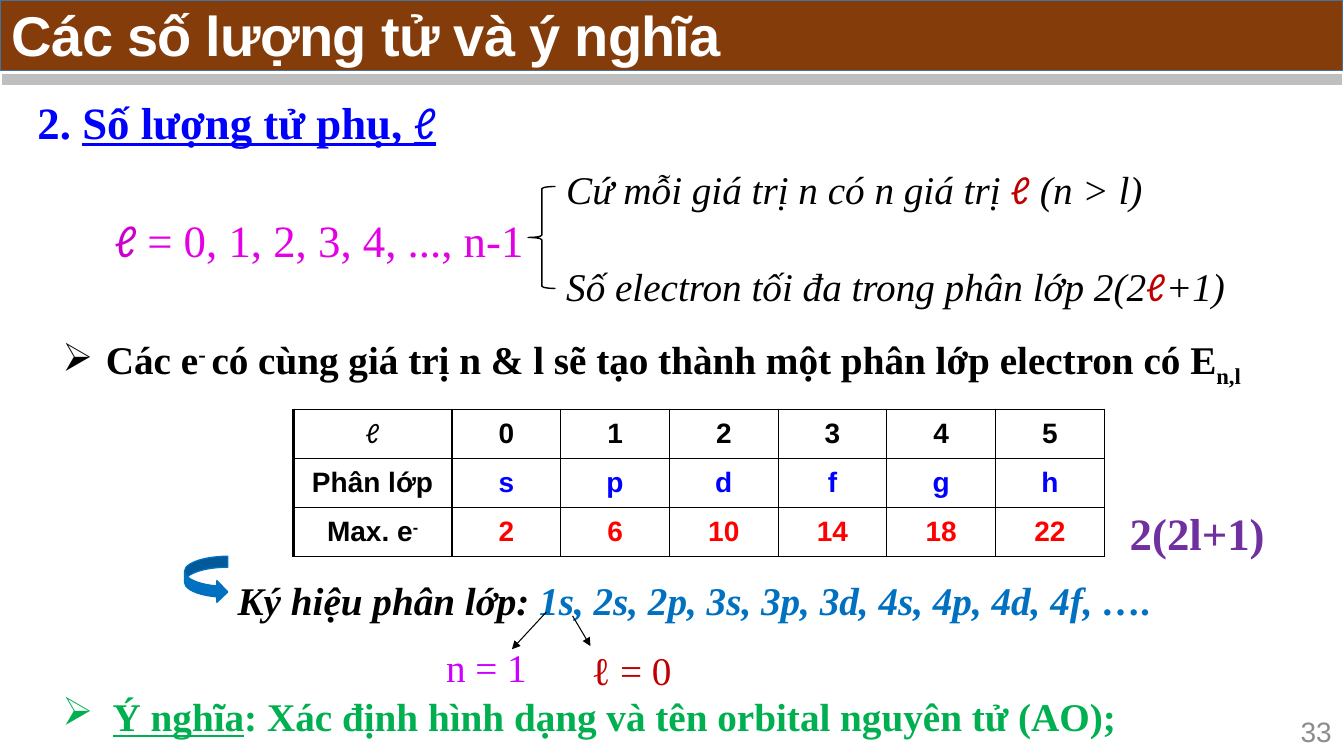
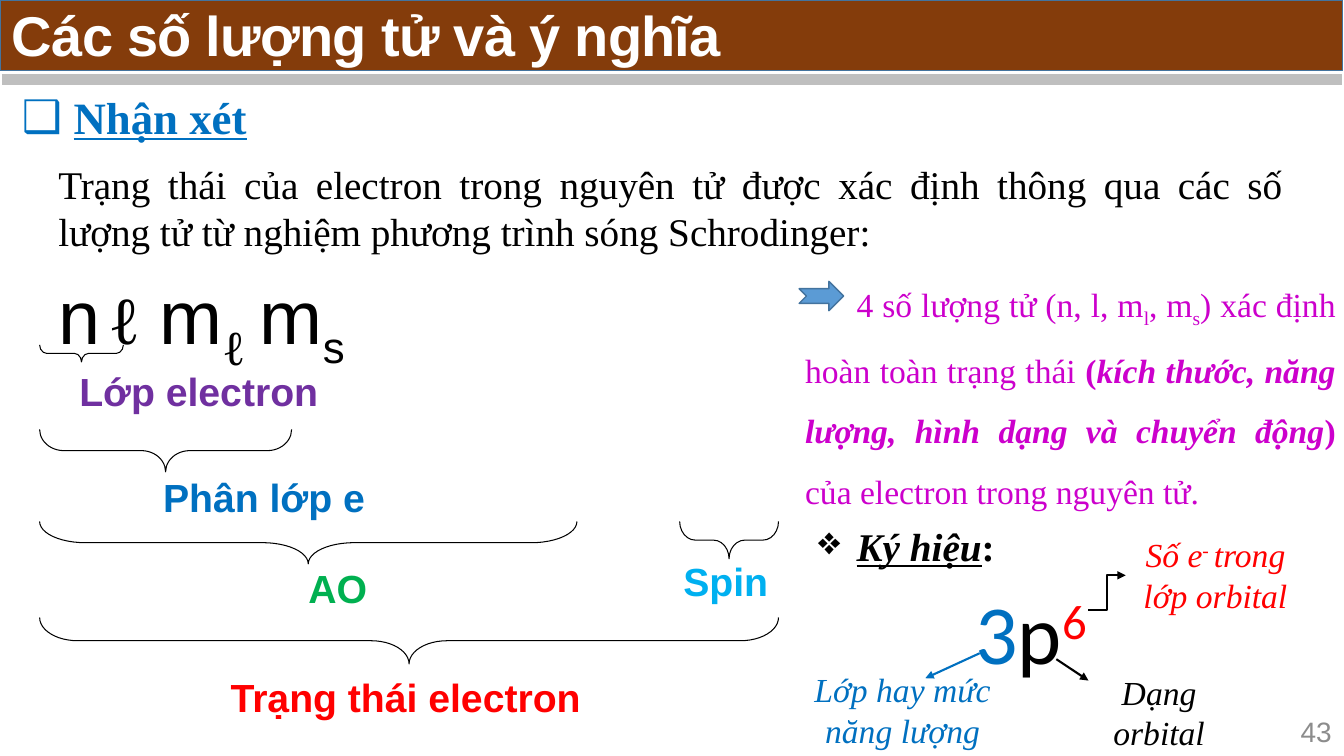
from dataclasses import dataclass, replace
from typing import Optional

import lxml.etree
import pptx
import pptx.dml.color
import pptx.enum.shapes
import pptx.enum.text
import pptx.oxml.ns
import pptx.util

Cm = pptx.util.Cm
Pt = pptx.util.Pt
Align = pptx.enum.text.PP_ALIGN
Anchor = pptx.enum.text.MSO_ANCHOR
Preset = pptx.enum.shapes.MSO_SHAPE
Connector = pptx.enum.shapes.MSO_CONNECTOR
qn = pptx.oxml.ns.qn

# Shared look
SERIF, SANS, CALIBRI = "Times New Roman", "Arial", "Calibri"
BLACK, WHITE, GREY, NUMBER_GREY = "000000", "FFFFFF", "BFBFBF", "8C8C8C"
BAND, OUTLINE = "843C0B", "43739E"
BLUE, SKY, PURPLE, GREEN = "0000FF", "0070C0", "7030A0", "00B050"
RED, DARK_RED, MAGENTA = "FF0000", "C00000", "CC00CC"
SUPER, SUB = 30000, -25000
TITLE = "Các số lượng tử và ý nghĩa"


@dataclass(frozen=True)
class Run:
    text: str
    size: float = 28
    color: str = BLACK
    font: str = SERIF
    bold: bool = False
    italic: bool = False
    underline: bool = False
    baseline: int = 0

    def but(self, text: str, **changes) -> "Run":
        return replace(self, text=text, **changes)


@dataclass(frozen=True)
class Layout:
    align: Align = Align.LEFT
    bullet: Optional[str] = None
    margin: float = 0
    indent: float = 0
    spacing: float = 1
    after: float = 0
    tabs: tuple[float, ...] = ()


@dataclass(frozen=True)
class Arrow:
    start: tuple[float, float]
    end: tuple[float, float]
    width: float = 1.5
    color: str = BLACK
    kind: Connector = Connector.STRAIGHT


@dataclass(frozen=True)
class BraceGroup:
    left: float
    top: float
    width: float
    depth: float
    curve: float
    label: str
    label_left: float
    label_top: float
    color: str


CENTERED = Layout(align=Align.CENTER)


def rgb(color: str) -> pptx.dml.color.RGBColor:
    return pptx.dml.color.RGBColor.from_string(color)


def place(shape, left: float, top: float, width: float, height: float) -> None:
    shape.left, shape.top = Cm(left), Cm(top)
    shape.width, shape.height = Cm(width), Cm(height)


def write(text_frame, runs: list[Run], layout: Layout = Layout()) -> None:
    """Fill the first paragraph with formatted runs."""
    paragraph = text_frame.paragraphs[0]
    properties = paragraph._p.get_or_add_pPr()
    properties.set("marL", str(int(Cm(layout.margin))))
    properties.set("indent", str(int(Cm(layout.indent))))
    if layout.bullet:
        lxml.etree.SubElement(properties, qn("a:buChar")).set("char", layout.bullet)
    else:
        lxml.etree.SubElement(properties, qn("a:buNone"))
    if layout.tabs:
        tab_list = lxml.etree.SubElement(properties, qn("a:tabLst"))
        for position in layout.tabs:
            tab = lxml.etree.SubElement(tab_list, qn("a:tab"))
            tab.set("pos", str(int(Cm(position))))
            tab.set("algn", "l")
    paragraph.alignment = layout.align
    paragraph.line_spacing = layout.spacing
    paragraph.space_before = Pt(0)
    paragraph.space_after = Pt(layout.after)
    for part in runs:
        run = paragraph.add_run()
        run.text = part.text
        font = run.font
        font.size, font.name = Pt(part.size), part.font
        font.bold, font.italic, font.underline = part.bold, part.italic, part.underline
        font.color.rgb = rgb(part.color)
        if part.baseline:
            run._r.get_or_add_rPr().set("baseline", str(part.baseline))


def add_text(slide, left: float, top: float, width: float, height: float,
             runs: list[Run], layout: Layout = Layout()):
    box = slide.shapes.add_textbox(Cm(left), Cm(top), Cm(width), Cm(height))
    box.text_frame.word_wrap = True
    write(box.text_frame, runs, layout)
    return box


def add_preset(slide, preset: Preset, left: float, top: float, width: float, height: float,
               line: str, fill: Optional[str] = None, weight: float = 1):
    shape = slide.shapes.add_shape(preset, Cm(left), Cm(top), Cm(width), Cm(height))
    shape.shadow.inherit = False
    if fill:
        shape.fill.solid()
        shape.fill.fore_color.rgb = rgb(fill)
    else:
        shape.fill.background()
    shape.line.color.rgb = rgb(line)
    shape.line.width = Pt(weight)
    return shape


def add_line(slide, arrow: Arrow, head: bool = True) -> None:
    points = [Cm(value) for value in arrow.start + arrow.end]
    connector = slide.shapes.add_connector(arrow.kind, *points)
    connector.line.color.rgb = rgb(arrow.color)
    connector.line.width = Pt(arrow.width)
    if head:
        line = connector.line._get_or_add_ln()
        lxml.etree.SubElement(line, qn("a:tailEnd")).set("type", "triangle")
    lxml.etree.SubElement(connector._element.spPr, qn("a:effectLst"))


def add_brace_group(slide, group: BraceGroup) -> None:
    """Draw a brace pointing down, with its label underneath."""
    left = group.left + (group.width - group.depth) / 2
    top = group.top + (group.depth - group.width) / 2
    brace = add_preset(slide, Preset.LEFT_BRACE, left, top, group.depth, group.width,
                       BLACK, weight=0.75)
    brace.rotation = 270
    brace.adjustments[0] = group.curve
    label = Run(group.label, color=group.color, font=SANS, bold=True)
    add_text(slide, group.label_left, group.label_top, 10, 1.45, [label])


def add_slide(presentation, number: int, heading: list[Run], heading_box: tuple[float, ...],
              heading_layout: Layout):
    """Start a slide with title band, rule, heading and number."""
    slide = presentation.slides.add_slide(presentation.slide_layouts[1])
    title, body = slide.shapes.title, slide.placeholders[1]
    place(title, 0, 0, 33.83, 1.78)
    title.fill.solid()
    title.fill.fore_color.rgb = rgb(BAND)
    title.line.color.rgb = rgb(OUTLINE)
    title.line.width = Pt(1)
    title.text_frame.margin_left, title.text_frame.margin_top = Cm(0.3), Cm(0.28)
    place(body, *heading_box)
    for placeholder in (title, body):
        placeholder.text_frame.auto_size = pptx.enum.text.MSO_AUTO_SIZE.NONE
        placeholder.text_frame.vertical_anchor = Anchor.TOP
    write(title.text_frame, [Run(TITLE, 40, WHITE, SANS, bold=True)], Layout(spacing=0.85))
    title.text_frame.paragraphs[0].runs[0]._r.get_or_add_rPr().set("spc", "-50")
    write(body.text_frame, heading, heading_layout)
    add_line(slide, Arrow((0.05, 2.01), (33.83, 2.01), 8, GREY), head=False)
    number_box = add_text(slide, 32.41, 17.93, 1.4, 1.02,
                          [Run(str(number), 20, NUMBER_GREY, SANS)], Layout(align=Align.RIGHT))
    number_box.text_frame.vertical_anchor = Anchor.MIDDLE
    return slide


def set_borders(cell, left_width: float) -> None:
    properties = cell._tc.get_or_add_tcPr()
    for index, side in enumerate(("lnL", "lnR", "lnT", "lnB")):
        line = lxml.etree.Element(qn(f"a:{side}"))
        line.set("w", str(int(Pt(left_width if side == "lnL" else 1))))
        fill = lxml.etree.SubElement(line, qn("a:solidFill"))
        lxml.etree.SubElement(fill, qn("a:srgbClr")).set("val", BLACK)
        properties.insert(index, line)


def add_subshell_table(slide) -> None:
    label = Run("", 20, font=SANS, bold=True)
    rows = [
        ([Run("ℓ", 20, font=CALIBRI)], "0 1 2 3 4 5", BLACK),
        ([label.but("Phân lớp")], "s p d f g h", BLUE),
        ([label.but("Max. e"), label.but("-", baseline=SUPER)], "2 6 10 14 18 22", RED),
    ]
    table = slide.shapes.add_table(3, 7, Cm(7.39), Cm(10.31), Cm(20.44), Cm(3.72)).table
    table.first_row = table.horz_banding = False
    for index, column in enumerate(table.columns):
        column.width = Cm(2.74 if index else 4)
    for row_index, (header, values, color) in enumerate(rows):
        table.rows[row_index].height = Cm(1.24)
        contents = [header] + [[label.but(value, color=color)] for value in values.split()]
        for column_index, runs in enumerate(contents):
            cell = table.cell(row_index, column_index)
            cell.fill.background()
            cell.vertical_anchor = Anchor.MIDDLE
            write(cell.text_frame, runs, CENTERED)
            set_borders(cell, 1 if column_index else 2.25)


def build_subshell_slide(presentation) -> None:
    heading = Run("2. ", 32, BLUE, bold=True)
    slide = add_slide(
        presentation, 33,
        [heading, heading.but("Số lượng tử phụ, ", underline=True),
         heading.but("ℓ", font=CALIBRI, bold=False, underline=True)],
        (0.69, 2.26, 18.85, 1.63), Layout(after=6))

    # Values of the quantum number
    add_text(slide, 2.64, 5.23, 11.4, 1.63,
             [Run("ℓ ", 32, MAGENTA, CALIBRI), Run("= 0, 1, 2, 3, 4, ..., n-1", 32, "E400E4")])
    note, ell = Run("", italic=True), Run("ℓ", color=DARK_RED, font=CALIBRI)
    for top, before, after in ((4.04, "Cứ mỗi giá trị n có n giá trị ", " (n > l)"),
                               (6.48, "Số electron tối đa trong phân lớp 2(2", "+1)")):
        add_text(slide, 14.02, top, 18, 1.45, [note.but(before), ell, note.but(after)])
    add_preset(slide, Preset.LEFT_BRACE, 13.31, 4.7, 0.69, 2.57, BLACK)

    # Subshells and their capacity
    strong = Run("", bold=True)
    add_text(slide, 1.32, 8.33, 31.5, 1.45,
             [strong.but("Các e"), strong.but("- ", baseline=SUPER),
              strong.but("có cùng giá trị n & l sẽ tạo thành một phân lớp electron có E"),
              strong.but("n,l", baseline=SUB)],
             Layout(bullet="➢", margin=1.1, indent=-1.1))
    add_subshell_table(slide)
    add_text(slide, 28.22, 12.62, 4.6, 1.63, [Run("2(2l+1)", 32, PURPLE, bold=True)])

    # Notation
    notation = Run("Ký hiệu phân lớp: ", bold=True, italic=True)
    add_text(slide, 5.74, 14.4, 24.5, 1.45,
             [notation, notation.but("1s, 2s, 2p, 3s, 3p, 3d, 4s, 4p, 4d, 4f, ….", color=SKY)])
    add_preset(slide, Preset.CURVED_RIGHT_ARROW, 4.65, 14.02, 1.09, 1.17, SKY, SKY)
    add_text(slide, 10.52, 16.08, 3.48, 1.45, [Run("n = 1", color="CC00FF")], CENTERED)
    add_text(slide, 14.66, 16.15, 2.92, 1.45, [Run("ℓ = 0", color=DARK_RED)])
    add_line(slide, Arrow((13.77, 15.42), (12.9, 16.36), 0.75))
    add_line(slide, Arrow((14.43, 15.52), (14.88, 16.28), 0.75))

    # Meaning
    meaning = Run("Ý nghĩa", color=GREEN, bold=True, underline=True)
    add_text(slide, 1.32, 17.32, 28, 1.45,
             [meaning, meaning.but(": Xác định hình dạng và tên orbital nguyên tử (AO);",
                                   underline=False)],
             Layout(bullet="➢", margin=1.27, indent=-1.27))


def build_remarks_slide(presentation) -> None:
    slide = add_slide(
        presentation, 43, [Run("Nhận xét", 32, SKY, bold=True, underline=True)],
        (0.3, 2.13, 8.03, 1.63), Layout(bullet="❑", margin=1.3, indent=-1.3, after=6))
    add_text(slide, 1.22, 3.91, 31.37, 2.64,
             [Run("Trạng thái của electron trong nguyên tử được xác định thông qua các số "
                  "lượng tử từ nghiệm phương trình sóng Schrodinger:")],
             Layout(align=Align.JUSTIFY))

    # Four quantum numbers and what they determine
    symbol = Run("n\t", 54, font=SANS)
    add_text(slide, 1.22, 6.45, 18.69, 2.54,
             [symbol, Run("ℓ", 48), symbol.but("\tm"), Run("ℓ", 60, baseline=SUB),
              symbol.but("\tm"), symbol.but("s", baseline=SUB)],
             Layout(tabs=(5.08, 9.66, 15.8)))
    for group in (
        BraceGroup(1, 8.69, 2.11, 0.43, 0.42, "Lớp electron", 1.75, 9.14, PURPLE),
        BraceGroup(1, 10.82, 6.35, 1.07, 0.57, "Phân lớp e", 3.86, 11.79, SKY),
        BraceGroup(1, 13.14, 13.54, 1.07, 1.07, "AO", 7.52, 14.1, GREEN),
        BraceGroup(17.13, 13.14, 2.49, 0.94, 0.42, "Spin", 16.97, 13.92, "00B0F0"),
        BraceGroup(1, 15.56, 18.62, 1.17, 0.82, "Trạng thái electron", 5.56, 16.84, RED),
    ):
        add_brace_group(slide, group)

    # Conclusion
    plain = Run("", 24, MAGENTA)
    strong = plain.but("", bold=True)
    add_text(slide, 20.04, 6.45, 13.87, 6.4,
             [plain.but("4 số lượng tử (n, l, m"), plain.but("l", baseline=SUB),
              plain.but(", m"), plain.but("s", baseline=SUB),
              plain.but(") xác định hoàn toàn trạng thái "), strong.but("("),
              strong.but("kích thước, năng lượng, hình dạng và chuyển động", italic=True),
              strong.but(") "), plain.but("của electron trong nguyên tử.")],
             Layout(align=Align.JUSTIFY, indent=1.3, spacing=1.5))
    add_preset(slide, Preset.NOTCHED_RIGHT_ARROW, 20.14, 7.09, 1.12, 0.74, OUTLINE, "5B9BD5")

    # Notation with callouts
    notation = Run("Ký hiệu", bold=True, italic=True, underline=True)
    add_text(slide, 20.37, 13.03, 6, 1.45,
             [notation, notation.but(":", italic=False, underline=False)],
             Layout(bullet="❖", margin=0.97, indent=-0.97, after=12))
    term = Run("3", 60, SKY, CALIBRI)
    add_text(slide, 24.33, 14.5, 4, 2.82,
             [term, term.but("p", color=BLACK), term.but("6", color=RED, baseline=SUPER)])
    callout = Run("", 24, italic=True)
    count = callout.but("Số e", color=RED)
    for left, top, width, runs in (
        (28.27, 13.34, 4.72,
         [count, count.but("- ", baseline=SUPER), count.but("trong lớp orbital")]),
        (26.85, 16.81, 4.72, [callout.but("Dạng orbital")]),
        (19.81, 16.74, 5.87, [callout.but("Lớp hay mức năng lượng", color=SKY)]),
    ):
        add_text(slide, left, top, width, 2.31, runs, CENTERED)
    for arrow in (
        Arrow((27.43, 15.37), (28.37, 14.5), kind=Connector.ELBOW),
        Arrow((26.62, 16.61), (27.43, 17.15)),
        Arrow((24.69, 16.46), (23.32, 17.09), color=SKY),
    ):
        add_line(slide, arrow)


def main() -> None:
    presentation = pptx.Presentation()
    presentation.slide_width, presentation.slide_height = Cm(33.87), Cm(19.05)
    build_subshell_slide(presentation)
    build_remarks_slide(presentation)
    presentation.save("out.pptx")


if __name__ == "__main__":
    main()
